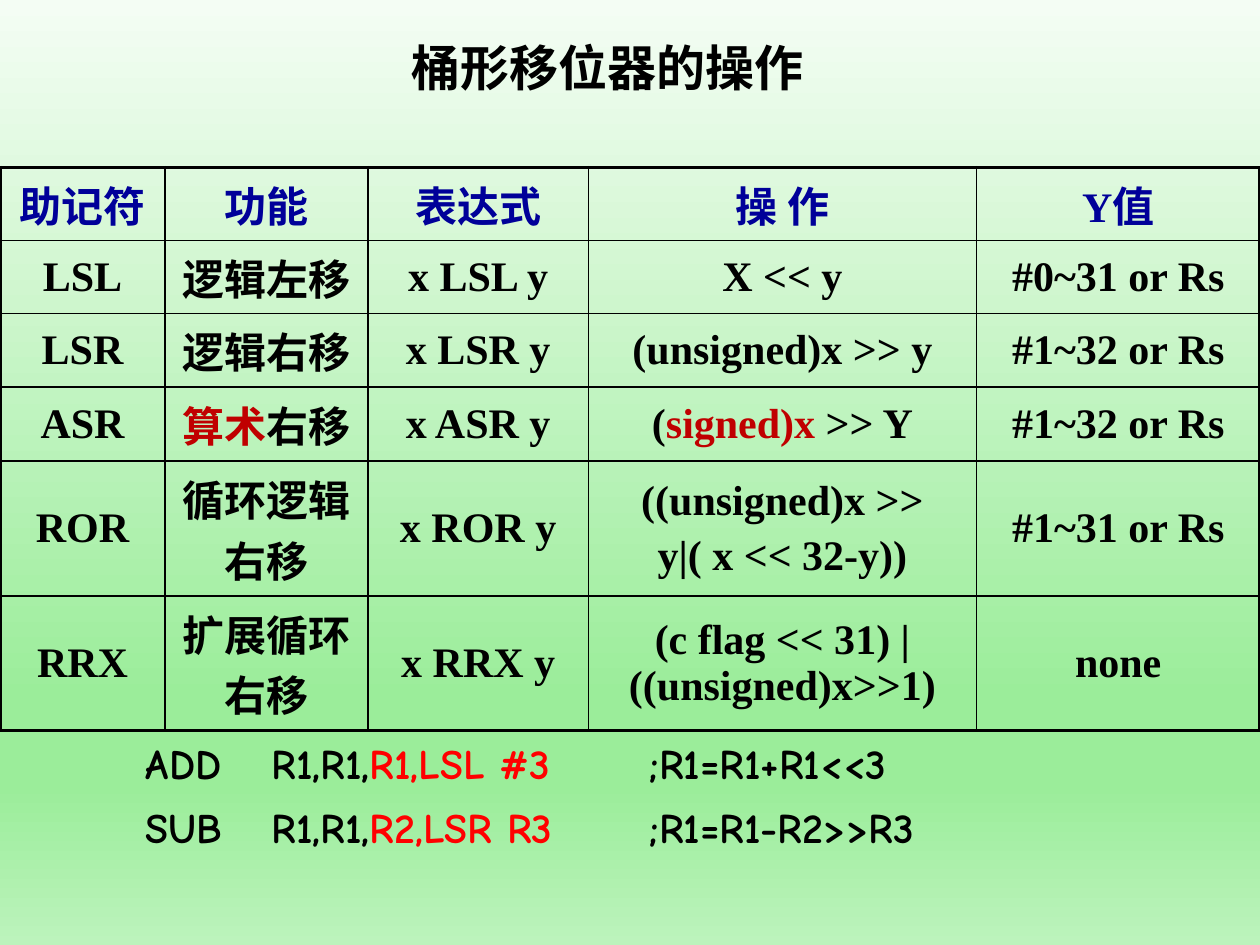
import pptx
import pptx.dml.color
import pptx.enum.text
import pptx.oxml
import pptx.oxml.ns
import pptx.util
from pptx.util import Inches

COLORS = {"black": "000000", "navy": "000099", "crimson": "C00000", "red": "FF0000"}
BACKGROUND_STOPS = [(0, "F4FDF4"), (74, "9BED9A"), (83, "9BED9A"), (100, "BCF3BC")]
COLUMN_WIDTHS = [1.31, 1.61, 1.75, 3.08, 2.25]
ROW_HEIGHTS = [0.58, 0.58, 0.58, 0.59, 1.07, 1.07]
OPERATIONS = [
    ["助记符", "功能", "表达式", "操 作", "Y值"],
    ["LSL", "逻辑左移", "x LSL y", "X << y", "#0~31 or Rs"],
    ["LSR", "逻辑右移", "x LSR y", "(unsigned)x >> y", "#1~32 or Rs"],
    ["ASR", [[("算术", "crimson"), ("右移", "black")]], "x ASR y",
     [[("(", "black"), ("signed)x", "crimson"), (" >> Y", "black")]], "#1~32 or Rs"],
    ["ROR", "循环逻辑右移", "x ROR y", "((unsigned)x >>\ny|( x << 32-y))", "#1~31 or Rs"],
    ["RRX", "扩展循环右移", "x RRX y", "(c flag << 31) |((unsigned)x>>1)", "none"],
]
EXAMPLES = [
    [("ADD\tR1,R1,", "black"), ("R1,LSL #3", "red"), ("\t\t;R1=R1+R1<<3", "black")],
    [("SUB\tR1,R1,", "black"), ("R2,LSR R3", "red"), ("\t\t;R1=R1-R2>>R3", "black")],
]


class SlideBuilder:
    """Holds the style and the current slide."""

    title_font = "Comic Neue"
    table_font = "Times New Roman"
    center = pptx.enum.text.PP_ALIGN.CENTER
    middle = pptx.enum.text.MSO_ANCHOR.MIDDLE

    def __init__(self, slide):
        self.slide = slide

    def background(self, stops):
        fill = self.slide.background.fill
        fill.gradient()
        fill.gradient_angle = 270
        stop_list = self.slide.element.find(".//" + pptx.oxml.ns.qn("a:gsLst"))
        for stop in list(stop_list):
            stop_list.remove(stop)
        for percent, color in stops:
            stop_list.append(pptx.oxml.parse_xml(
                f'<a:gs {pptx.oxml.ns.nsdecls("a")} pos="{percent * 1000}">'
                f'<a:srgbClr val="{color}"/></a:gs>'))

    def set_text(self, text_frame, content, font, size, color="black", align=None, gap=0):
        if isinstance(content, str):
            content = [[(line, color)] for line in content.split("\n")]
        text_frame.text = "\n".join("" for _ in content)
        for paragraph, pieces in zip(text_frame.paragraphs, content):
            paragraph.alignment = align
            paragraph.space_before = pptx.util.Pt(gap)
            for text, name in pieces:
                run = paragraph.add_run()
                run.text = text
                run.font.name = font
                run.font.size = pptx.util.Pt(size)
                run.font.bold = True
                run.font.color.rgb = pptx.dml.color.RGBColor.from_string(COLORS[name])

    def text_box(self, left, top, width, height, content, size, **style):
        shape = self.slide.shapes.add_textbox(
            Inches(left), Inches(top), Inches(width), Inches(height))
        shape.text_frame.word_wrap = True
        self.set_text(shape.text_frame, content, self.title_font, size, **style)
        return shape

    def borders(self, cell, widths):
        properties = cell._tc.get_or_add_tcPr()
        for side, width in widths.items():
            properties.append(pptx.oxml.parse_xml(
                f'<a:ln{side} {pptx.oxml.ns.nsdecls("a")} w="{pptx.util.Pt(width)}">'
                f'<a:solidFill><a:srgbClr val="{COLORS["black"]}"/></a:solidFill></a:ln{side}>'))

    def table(self, left, top, rows, column_widths, row_heights):
        table = self.slide.shapes.add_table(
            len(rows), len(column_widths), Inches(left), Inches(top),
            Inches(sum(column_widths)), Inches(sum(row_heights))).table
        table.first_row = table.horz_banding = False
        for column, width in zip(table.columns, column_widths):
            column.width = Inches(width)
        last_row, last_column = len(rows) - 1, len(column_widths) - 1
        for i, contents in enumerate(rows):
            table.rows[i].height = Inches(row_heights[i])
            for j, content in enumerate(contents):
                cell = table.cell(i, j)
                outer = {"L": j == 0, "R": j == last_column, "T": i == 0, "B": i == last_row}
                self.borders(cell, {side: 2.25 if edge else 1 for side, edge in outer.items()})
                cell.fill.background()
                cell.vertical_anchor = self.middle
                self.set_text(cell.text_frame, content, self.table_font, 24,
                              "navy" if i == 0 else "black", self.center, 5)


def main():
    presentation = pptx.Presentation()
    presentation.slide_width = Inches(10)
    presentation.slide_height = Inches(7.5)
    builder = SlideBuilder(presentation.slides.add_slide(presentation.slide_layouts[6]))
    builder.background(BACKGROUND_STOPS)
    title = builder.text_box(0.56, 0.25, 8.52, 0.57, "桶形移位器的操作", 28, align=builder.center)
    title.text_frame.vertical_anchor = builder.middle
    builder.table(0, 1.33, OPERATIONS, COLUMN_WIDTHS, ROW_HEIGHTS)
    builder.text_box(1.06, 5.8, 8.08, 1.02, EXAMPLES, 24, gap=8)
    presentation.save("out.pptx")


if __name__ == "__main__":
    main()
